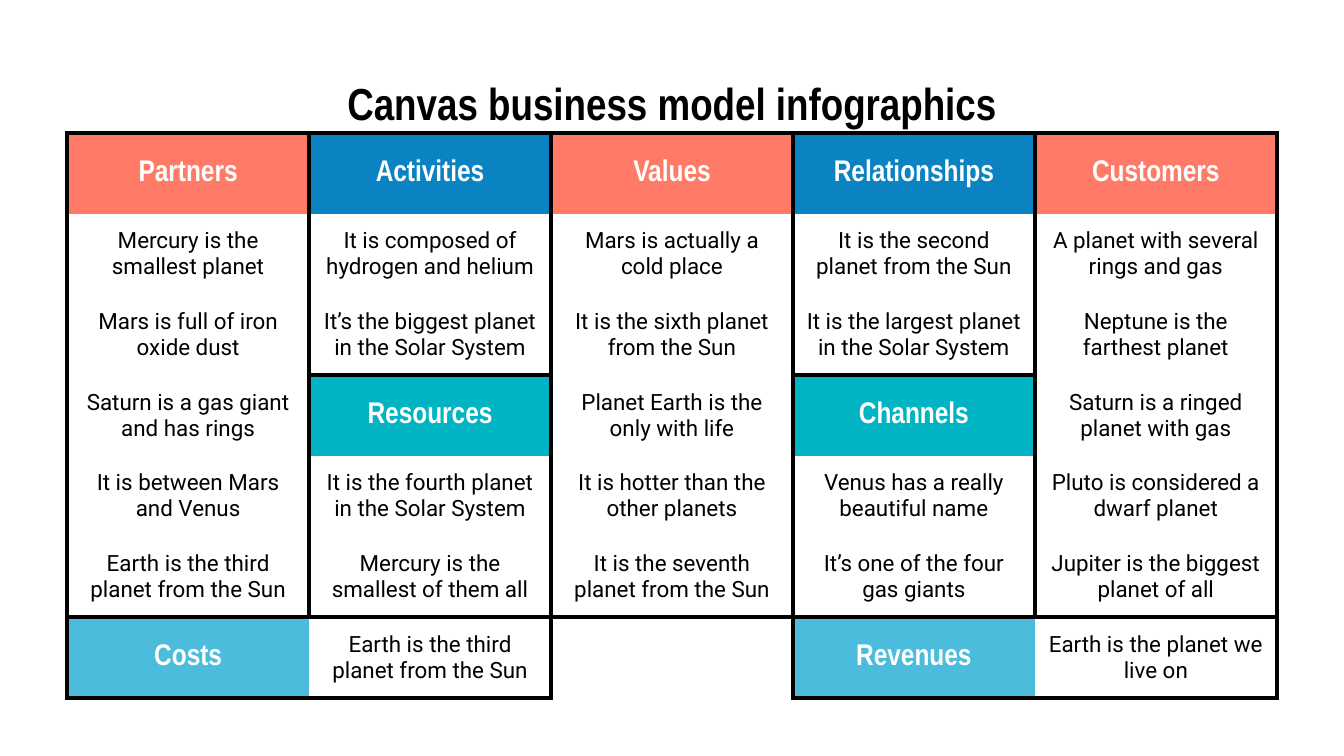
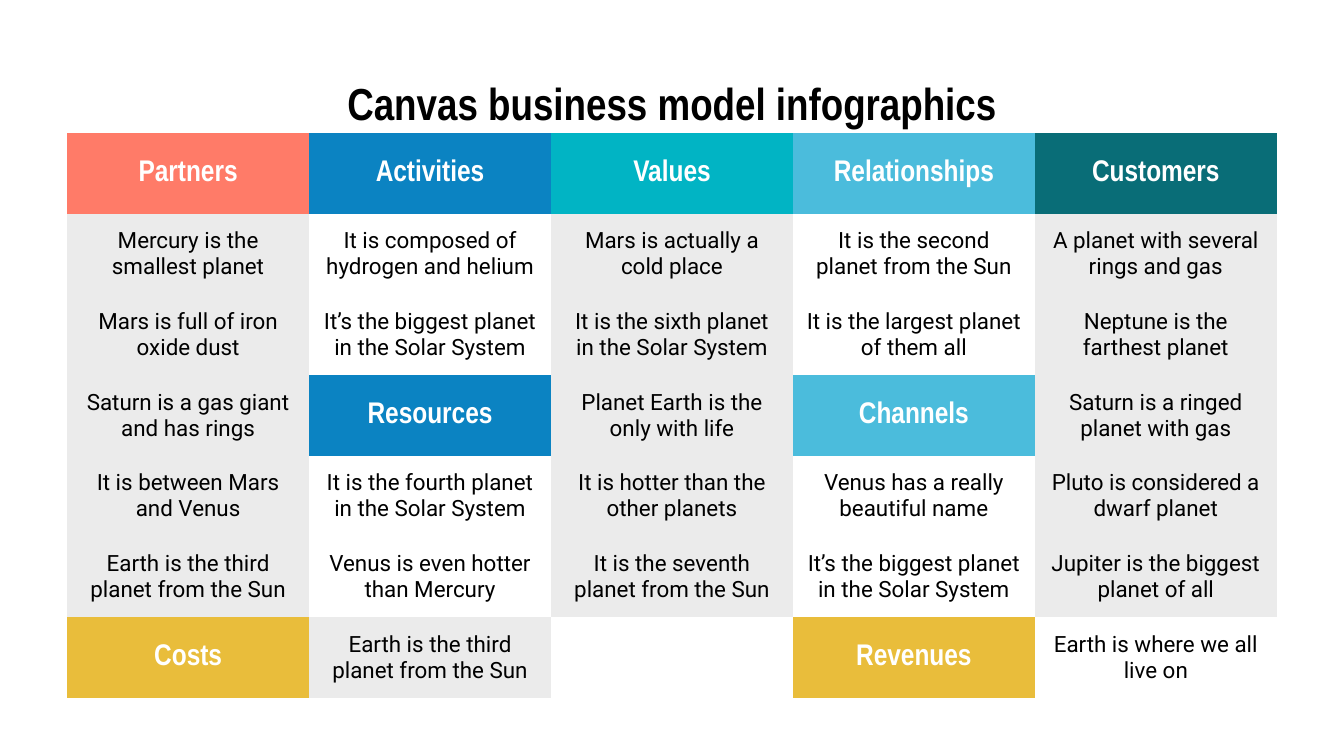
"""Build two canvas business model slides from grids of words, tints and zones."""
from typing import Any, NamedTuple

from lxml.etree import SubElement
from pptx import Presentation
from pptx.dml.color import RGBColor
from pptx.enum.text import MSO_ANCHOR, PP_ALIGN
from pptx.oxml.ns import qn
from pptx.util import Emu, Inches, Pt

WIDE, HIGH = Inches(10), Inches(5.625)
BLACK = RGBColor(0x00, 0x00, 0x00)
WHITE = RGBColor(0xFF, 0xFF, 0xFF)
TINTS = {
    "R": RGBColor(0xFF, 0x7B, 0x68),
    "B": RGBColor(0x0B, 0x83, 0xC2),
    "T": RGBColor(0x01, 0xB4, 0xC4),
    "S": RGBColor(0x4B, 0xBC, 0xDC),
    "D": RGBColor(0x09, 0x6D, 0x77),
    "Y": RGBColor(0xE9, 0xBD, 0x3B),
    "g": RGBColor(0xEB, 0xEB, 0xEB),
}
TITLE = {"name": "Arial Narrow", "size": Pt(24), "bold": True}
HEAD = {**TITLE, "size": Pt(16)}
BODY = {"name": "Roboto", "size": Pt(12), "bold": False}
PAD = {f"margin_{side}": Inches(0.1) for side in ("left", "right", "top", "bottom")}
FRAME = {**PAD, "vertical_anchor": MSO_ANCHOR.MIDDLE}
PLAIN = {"first_row": False, "horz_banding": False}
SIDES = {"L": (0, -1), "R": (0, 1), "T": (-1, 0), "B": (1, 0)}

WORDS = (
    ("Partners", "Activities", "Values", "Relationships", "Customers"),
    ("Mercury is the smallest planet", "It is composed of hydrogen and helium",
     "Mars is actually a cold place", "It is the second planet from the Sun",
     "A planet with several rings and gas"),
    ("Mars is full of iron oxide dust", "It’s the biggest planet in the Solar System",
     "It is the sixth planet from the Sun",
     "It is the largest planet in the Solar System", "Neptune is the farthest planet"),
    ("Saturn is a gas giant and has rings", "Resources",
     "Planet Earth is the only with life", "Channels",
     "Saturn is a ringed planet with gas"),
    ("It is between Mars and Venus", "It is the fourth planet in the Solar System",
     "It is hotter than the other planets", "Venus has a really beautiful name",
     "Pluto is considered a dwarf planet"),
    ("Earth is the third planet from the Sun", "Mercury is the smallest of them all",
     "It is the seventh planet from the Sun", "It’s one of the four gas giants",
     "Jupiter is the biggest planet of all"),
    ("Costs", "Earth is the third planet from the Sun", "", "Revenues",
     "Earth is the planet we live on"),
)
ROWS, COLS = len(WORDS), len(WORDS[0])


class Canvas(NamedTuple):
    """One slide: a tint and a zone letter per cell, and words that differ."""
    tints: tuple[str, ...]
    zones: tuple[str, ...]
    swaps: dict[tuple[int, int], str]


DECK = (
    Canvas(
        ("RBRBR", ".....", ".....", ".T.T.", ".....", ".....", "S..S."),
        ("ABCDE",) * 3 + ("AFCGE",) * 3 + ("HH.II",),
        {},
    ),
    Canvas(
        ("RBTSD", "g.g.g", "g.g.g", "gBgSg", "g.g.g", "g.g.g", "Yg.Y."),
        (".....",) * ROWS,
        {
            (2, 2): "It is the sixth planet in the Solar System",
            (2, 3): "It is the largest planet of them all",
            (5, 1): "Venus is even hotter than Mercury",
            (5, 3): "It’s the biggest planet in the Solar System",
            (6, 4): "Earth is where we all live on",
        },
    ),
)


def across(share: float) -> Emu:
    """Turn a percentage of the slide's width into a length."""
    return Emu(round(WIDE * share / 100))


def down(share: float) -> Emu:
    """Turn a percentage of the slide's height into a length."""
    return Emu(round(HIGH * share / 100))


def style(thing: Any, looks: dict[str, Any]) -> None:
    """Set each named value on the thing."""
    for name, value in looks.items():
        setattr(thing, name, value)


def write(frame: Any, words: str, looks: dict[str, Any], ink: RGBColor) -> None:
    """Put one centred paragraph into a text frame."""
    line = frame.paragraphs[0]
    line.alignment = PP_ALIGN.CENTER
    run = line.add_run()
    run.text = words
    style(run.font, looks)
    run.font.color.rgb = ink


def zone(canvas: Canvas, row: int, col: int) -> str:
    """Name the zone of a cell, with a dot for none."""
    inside = 0 <= row < ROWS and 0 <= col < COLS
    return canvas.zones[row][col] if inside else "."


def edge(cell: Any, side: str, drawn: bool) -> None:
    """Draw or clear one border of a cell."""
    line = SubElement(cell._tc.get_or_add_tcPr(), qn(f"a:ln{side}"), w=str(Pt(2.25)))
    if drawn:
        fill = SubElement(line, qn("a:solidFill"))
        SubElement(fill, qn("a:srgbClr"), val=str(BLACK))
    else:
        SubElement(line, qn("a:noFill"))


def fill_cell(cell: Any, canvas: Canvas, row: int, col: int) -> None:
    """Give a cell its borders, tint and words."""
    style(cell, FRAME)
    for side, (drop, step) in SIDES.items():
        near = zone(canvas, row + drop, col + step)
        edge(cell, side, zone(canvas, row, col) != near)
    tint = canvas.tints[row][col]
    if tint == ".":
        cell.fill.background()
    else:
        cell.fill.solid()
        cell.fill.fore_color.rgb = TINTS[tint]
    words = canvas.swaps.get((row, col), WORDS[row][col])
    if words:
        looks, ink = (HEAD, WHITE) if tint.isupper() else (BODY, BLACK)
        write(cell.text_frame, words, looks, ink)


def draw(deck: Any, canvas: Canvas) -> None:
    """Add a slide with its title and table."""
    slide = deck.slides.add_slide(deck.slide_layouts[6])
    box = slide.shapes.add_textbox(across(5), down(8), across(90), down(11.2))
    style(box.text_frame, {**FRAME, "word_wrap": True})
    write(box.text_frame, "Canvas business model infographics", TITLE, BLACK)
    table = slide.shapes.add_table(
        ROWS, COLS, across(5), down(17.6), across(90), down(61.87)).table
    style(table, PLAIN)
    for col in table.columns:
        col.width = across(90 / COLS)
    for place, row in enumerate(table.rows):
        row.height = down(8.53 if place else 10.67)
    for row in range(ROWS):
        for col in range(COLS):
            fill_cell(table.cell(row, col), canvas, row, col)


def main() -> None:
    """Build and save the deck."""
    deck = Presentation()
    style(deck, {"slide_width": WIDE, "slide_height": HIGH})
    for canvas in DECK:
        draw(deck, canvas)
    deck.save("out.pptx")


if __name__ == "__main__":
    main()
